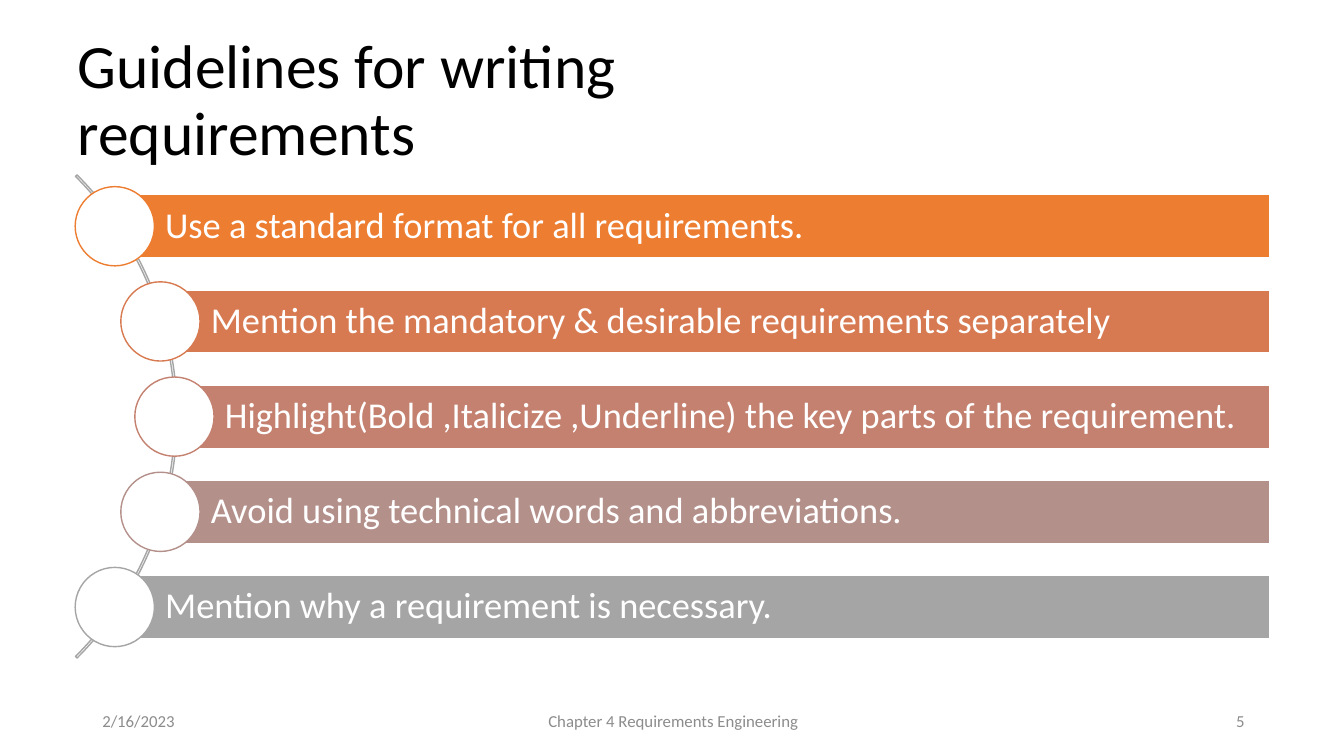
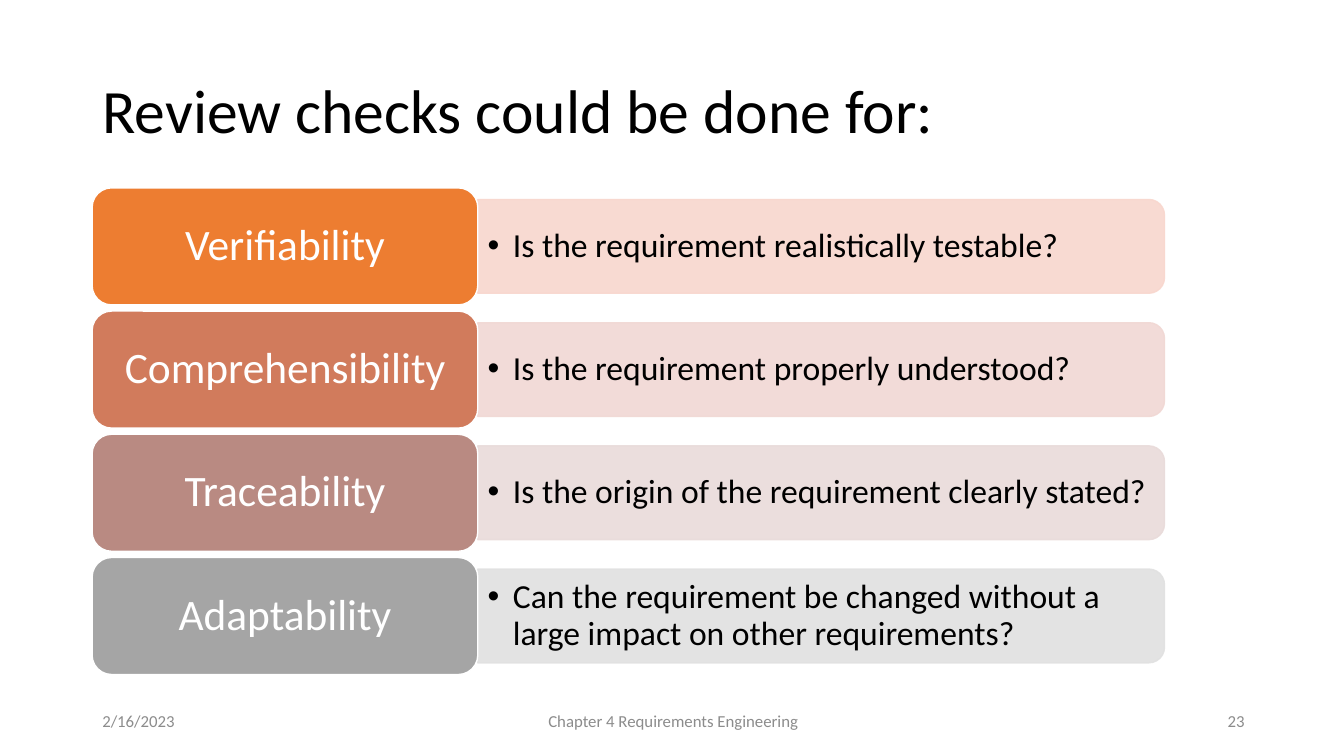
"""Build two requirements engineering slides with shared title, shape and footer styles."""
from lxml import etree
from pptx import Presentation
from pptx import util as u
from pptx.dml import color as dc
from pptx.enum import shapes as es, text as et
from pptx.oxml import ns

Pt = u.Pt
MSO = es.MSO_SHAPE
AL = et.PP_ALIGN
FONT = "Calibri"
WHITE, BLACK, GREY, FOOT = "FFFFFF", "000000", "A5A5A5", "8C8C8C"


def paint(fill, colour):
    fill.solid()
    fill.fore_color.rgb = dc.RGBColor.from_string(colour)


def add(s, kind, box, fill=None, line=None, text="", size=12, colour=WHITE,
        align=AL.LEFT, inset=7.2, spacing=0.9):
    box = [Pt(v) for v in box]
    if kind is None:
        sp = s.shapes.add_textbox(*box)
    else:
        sp = s.shapes.add_shape(kind, *box)
        sp.shadow.inherit = False
        sp.line.width = Pt(1)
        paint(sp.line.fill, line)
        if fill:
            paint(sp.fill, fill)
        else:
            sp.fill.background()
    if text:
        tf = sp.text_frame
        tf.text = text
        tf.word_wrap = True
        tf.vertical_anchor = et.MSO_ANCHOR.MIDDLE
        tf.margin_left = Pt(inset)
        tf.margin_right = Pt(5)
        p = tf.paragraphs[0]
        p.alignment = align
        p.line_spacing = spacing
        r = p.runs[0]
        r.font.name = FONT
        r.font.size = Pt(size)
        paint(r.font.fill, colour)
    return sp


prs = Presentation()
prs.slide_width, prs.slide_height = Pt(960), Pt(540)

pages = [
    ("Guidelines for writing requirements", (48.2, 29.5, 648, 87), "5"),
    ("Review checks could be done for:", (66, 28.8, 828, 104.4), "23"),
]
for title, box, number in pages:
    s = prs.slides.add_slide(prs.slide_layouts[5])
    sp = s.shapes.title
    sp.left, sp.top, sp.width, sp.height = [Pt(v) for v in box]
    tf = sp.text_frame
    tf.text = title
    tf.auto_size = et.MSO_AUTO_SIZE.NONE
    tf.vertical_anchor = et.MSO_ANCHOR.MIDDLE
    p = tf.paragraphs[0]
    p.alignment = AL.LEFT
    p.line_spacing = 0.9
    r = p.runs[0]
    r.font.name = FONT
    r.font.size = Pt(44)
    paint(r.font.fill, BLACK)
    footers = [
        (66, 216, "2/16/2023", AL.LEFT),
        (318, 324, "Chapter 4 Requirements Engineering", AL.CENTER),
        (678, 216, number, AL.RIGHT),
    ]
    for left, width, words, align in footers:
        add(s, None, (left, 500.5, width, 28.8), text=words, colour=FOOT,
            align=align, spacing=1.0)

guides, checks = prs.slides

arc = add(guides, MSO.BLOCK_ARC, (-361.5, 53.5, 488, 488), line=GREY)
for i, value in enumerate((189, 27, 0.0032)):
    arc.adjustments[i] = value

guidelines = [
    (82, "ED7D31", "Use a standard format for all requirements."),
    (114.6, "D87A51", "Mention the mandatory & desirable requirements separately"),
    (124.6, "C48170", "Highlight(Bold ,Italicize ,Underline) the key parts of the requirement."),
    (114.6, "B4908B", "Avoid using technical words and abbreviations."),
    (82, GREY, "Mention why a requirement is necessary."),
]
for i, (left, colour, words) in enumerate(guidelines):
    top = 139 + 68 * i
    add(guides, MSO.RECTANGLE, (left, top, 907 - left, 45.2), colour, WHITE,
        words, 26, inset=36)
    add(guides, MSO.OVAL, (left - 28.3, top - 5.7, 56.6, 56.6), WHITE, colour)

reviews = [
    ("Verifiability", "ED7D31", "F8D7CE", "Is the requirement realistically testable?"),
    ("Comprehensibility", "D17B5C", "F1D8D4", "Is the requirement properly understood?"),
    ("Traceability", "B98A82", "E9DBDA", "Is the origin of the requirement clearly stated?"),
    ("Adaptability", GREY, "E1E1E1",
     "Can the requirement be changed without a large impact on other requirements?"),
]
long, short = 490.5, 67
for i, (name, colour, tint, question) in enumerate(reviews):
    top = 134.2 + 88 * i
    middle = top + 41.8
    bubble = add(checks, MSO.ROUND_2_SAME_RECTANGLE,
                 (341.3 + (long - short) / 2, middle - long / 2, short, long), tint, tint)
    bubble.rotation = 90
    for clr in list(bubble.element.spPr.iter(ns.qn("a:srgbClr"))):
        etree.SubElement(clr, ns.qn("a:alpha"), val="90000")
    sp = add(checks, None, (341.3, middle - 30.2, 487.5, 60.4), text=question,
             size=24, colour=BLACK)
    pPr = sp.text_frame.paragraphs[0]._p.get_or_add_pPr()
    pPr.set("marL", str(Pt(18)))
    pPr.set("indent", str(Pt(-18)))
    etree.SubElement(pPr, ns.qn("a:buFont"), typeface="Arial")
    etree.SubElement(pPr, ns.qn("a:buChar"), char="•")
    add(checks, MSO.ROUNDED_RECTANGLE, (65.8, top, 275.5, 83.6), colour, WHITE,
        name, 31, align=AL.CENTER, inset=5)

prs.save("out.pptx")
